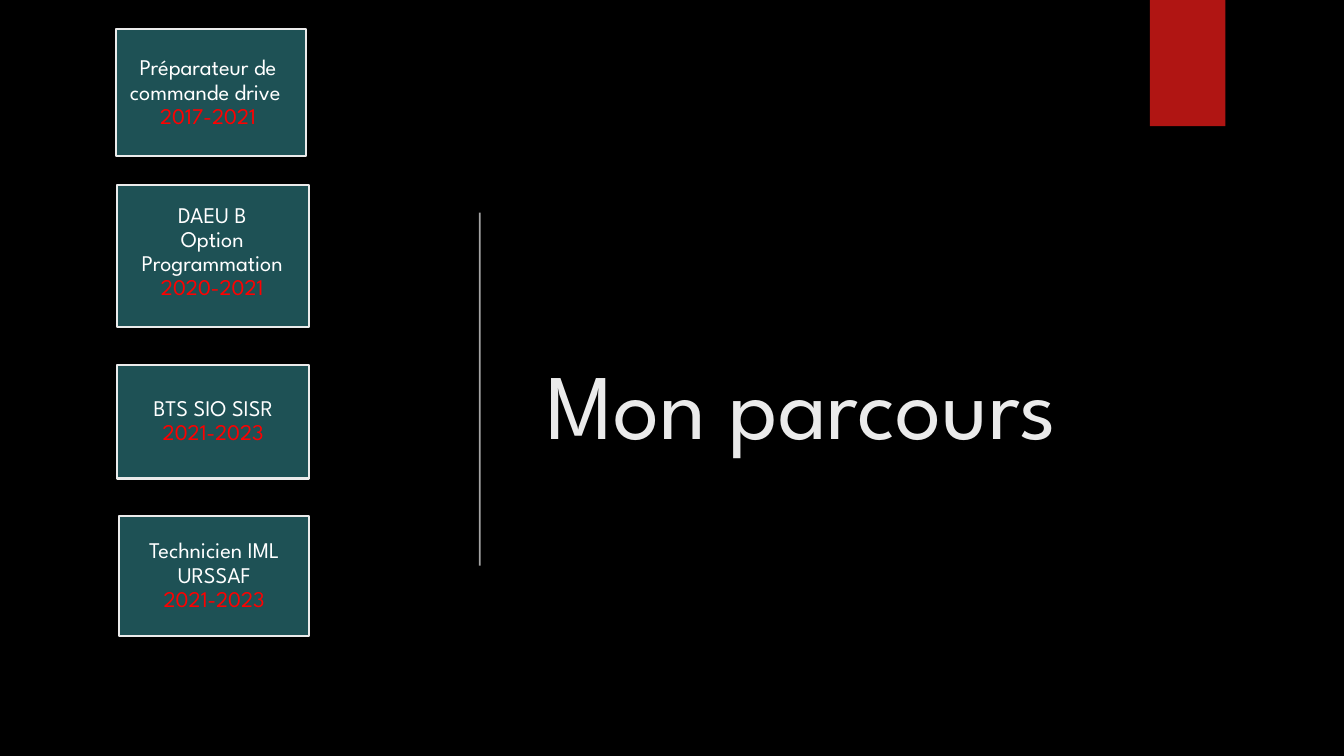
from pptx import Presentation
from pptx.dml.color import RGBColor
from pptx.enum.shapes import MSO_CONNECTOR, MSO_SHAPE
from pptx.enum.text import MSO_ANCHOR, MSO_AUTO_SIZE, PP_ALIGN
from pptx.oxml.ns import qn
from pptx.util import Cm, Pt
from lxml import etree

RECT, STRAIGHT = MSO_SHAPE.RECTANGLE, MSO_CONNECTOR.STRAIGHT
MIDDLE, NO_FIT = MSO_ANCHOR.MIDDLE, MSO_AUTO_SIZE.NONE
LEFT, CENTER = PP_ALIGN.LEFT, PP_ALIGN.CENTER
BLACK, WHITE, PALE = "000000", "FFFFFF", "EBEBEB"
TEAL, CRIMSON, RED = "1E5155", "B01513", "FF0000"


def paint(target, color):
    """Give a fill or a font a solid colour."""
    if hasattr(target, "solid"):
        target.solid()
        target.fore_color.rgb = RGBColor.from_string(color)
    else:
        target.color.rgb = RGBColor.from_string(color)


def apply(target, values):
    for name, value in values.items():
        setattr(target, name, value)


class Deck:
    font = "League Spartan"

    def __init__(self, width, height):
        self.show = Presentation()
        apply(self.show, {"slide_width": Cm(width), "slide_height": Cm(height)})
        self.slide = self.show.slides.add_slide(self.show.slide_layouts[5])
        paint(self.slide.background.fill, BLACK)

    def run(self, par, text, size, color):
        run = par.add_run()
        run.text = text
        apply(run.font, {"name": self.font, "size": Pt(size)})
        paint(run.font, color)

    def title(self, text, left, top, width, height):
        title = self.slide.shapes.title
        apply(title, {"left": Cm(left), "top": Cm(top),
                      "width": Cm(width), "height": Cm(height)})
        apply(title.text_frame, {"vertical_anchor": MIDDLE, "word_wrap": True,
                                 "auto_size": NO_FIT})
        par = title.text_frame.paragraphs[0]
        par.alignment = LEFT
        self.run(par, text, 66, PALE)

    def rect(self, left, top, width, height, fill, edge=None):
        box = self.slide.shapes.add_shape(
            RECT, Cm(left), Cm(top), Cm(width), Cm(height))
        box.shadow.inherit = False
        paint(box.fill, fill)
        if edge:
            paint(box.line.fill, edge)
            box.line.width = Pt(1.5)
        else:
            box.line.fill.background()
        return box

    def rule(self, x, top, bottom, color, alpha):
        line = self.slide.shapes.add_connector(
            STRAIGHT, Cm(x), Cm(top), Cm(x), Cm(bottom))
        paint(line.line.fill, color)
        line.line.width = Pt(1.25)
        props = line._element.spPr
        tint = props.find(".//" + qn("a:srgbClr"))
        etree.SubElement(tint, qn("a:alpha"), val=str(alpha * 1000))
        etree.SubElement(props, qn("a:effectLst"))

    def step(self, place, inset, lines, years):
        frame = self.rect(*place, TEAL, PALE).text_frame
        sides = ("margin_left", "margin_top", "margin_right", "margin_bottom")
        apply(frame, {side: Cm(gap) for side, gap in zip(sides, inset)})
        apply(frame, {"vertical_anchor": MIDDLE, "word_wrap": True})
        par = frame.paragraphs[0]
        apply(par, {"alignment": CENTER, "line_spacing": 0.9,
                    "space_after": Pt(5.6)})
        for line in lines:
            self.run(par, line, 16, WHITE)
            par.add_line_break()
        self.run(par, years, 16, RED)


# Place (left, top, width, height), insets (left, top, right, bottom), text
STEPS = [
    ((2.92, 0.74, 4.8, 3.2), (0.25, 0.25, 0.4, 0.25),
     ["Préparateur de commande drive "], "2017-2021"),
    ((2.95, 4.67, 4.85, 3.58), (0.25, 0.25, 0.3, 0.45),
     ["DAEU B", "Option Programmation"], "2020-2021"),
    ((2.95, 9.19, 4.85, 2.87), (0.38,) * 4,
     ["BTS SIO SISR"], "2021-2023"),
    ((3, 13, 4.8, 3.02), (0.69,) * 4,
     ["Technicien IML URSSAF"], "2021-2023"),
]


def main():
    deck = Deck(33.87, 19.05)

    # Decoration and title
    deck.rect(28.98, 0, 1.9, 3.18, CRIMSON)
    deck.rule(12.09, 5.36, 14.25, PALE, 70)
    deck.title("Mon parcours", 13.51, 3.53, 20.14, 13.23)

    # Career steps
    for step in STEPS:
        deck.step(*step)

    deck.show.save("out.pptx")


if __name__ == "__main__":
    main()
